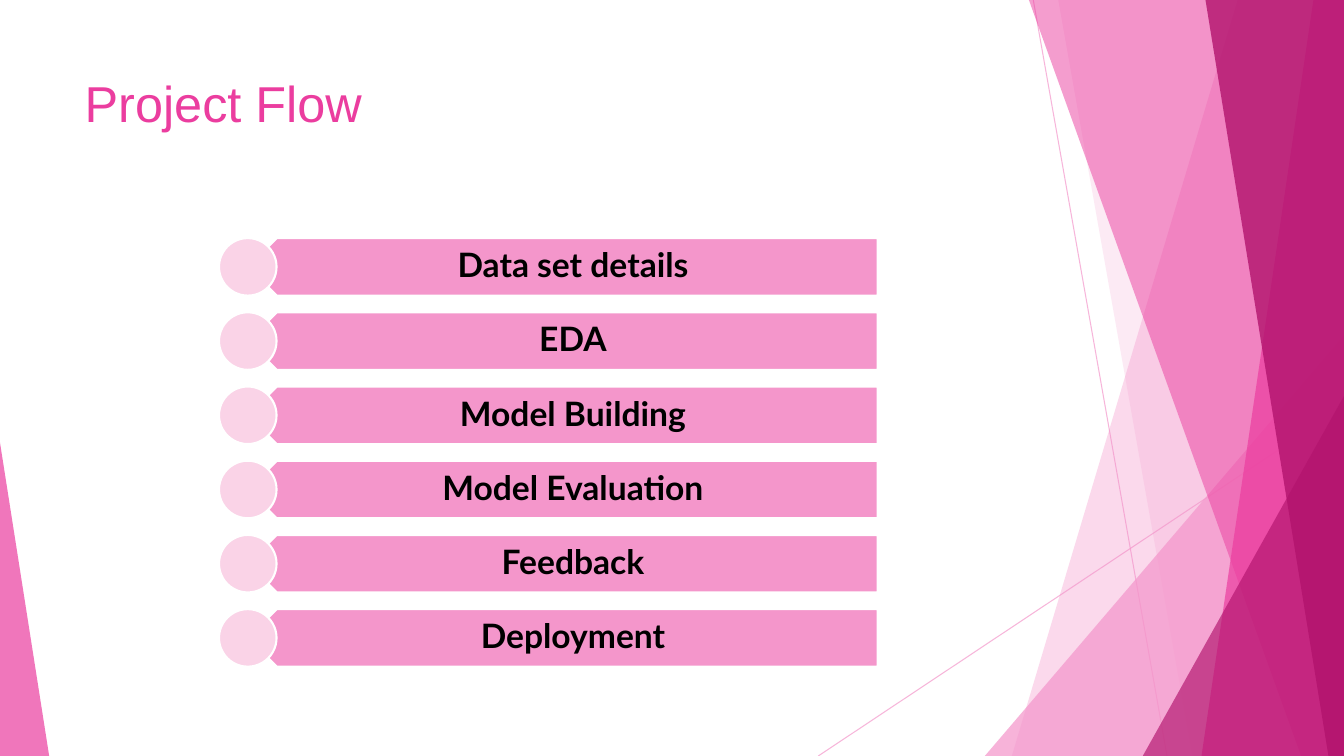
"""Build the Project Flow slide with its faceted pink backdrop."""
from lxml import etree
from pptx import Presentation
from pptx import util as u
from pptx.dml.color import RGBColor
from pptx.enum import shapes, text
from pptx.oxml.ns import qn

PINK = RGBColor(0xF4, 0x96, 0xCB)
ROSE = RGBColor(0xEB, 0x3D, 0x9F)
MAGENTA = RGBColor(0xB2, 0x13, 0x6D)
BLUSH = RGBColor(0xFA, 0xD3, 0xE7)
WHITE = RGBColor(0xFF, 0xFF, 0xFF)
BLACK = RGBColor(0, 0, 0)
WIDTH, HEIGHT = 33.87, 19.05


class Deck:
    def __init__(self):
        self.prs = Presentation()
        self.prs.slide_width, self.prs.slide_height = u.Cm(WIDTH), u.Cm(HEIGHT)
        self.s = self.prs.slides.add_slide(self.prs.slide_layouts[5])

    def place(self, sp, x, y, w, h):
        sp.left, sp.top, sp.width, sp.height = map(u.Cm, (x, y, w, h))

    def fade(self, sp, opacity):
        for color in sp._element.spPr.iter(qn("a:srgbClr")):
            etree.SubElement(color, qn("a:alpha")).set("val", str(opacity * 1000))

    def paint(self, sp, color, opacity=100, outline=None):
        sp.shadow.inherit = False
        sp.fill.solid()
        sp.fill.fore_color.rgb = color
        if opacity < 100:
            self.fade(sp, opacity)
        if outline is None:
            sp.line.fill.background()
        else:
            sp.line.color.rgb = outline
            sp.line.width = u.Pt(1.5)

    def line(self, x1, y1, x2, y2):
        c = self.s.shapes.add_connector(
            shapes.MSO_CONNECTOR.STRAIGHT, *map(u.Cm, (x1, y1, x2, y2)))
        c.line.color.rgb = PINK
        c.line.width = u.Pt(0.75)
        self.fade(c, 70)
        etree.SubElement(c._element.spPr, qn("a:effectLst"))

    def facet(self, top, bottom, color, opacity):
        points = [(WIDTH, 0), (WIDTH, HEIGHT), (bottom, HEIGHT)]
        fb = self.s.shapes.build_freeform(u.Cm(top), 0, scale=1.0)
        fb.add_line_segments([(u.Cm(x), u.Cm(y)) for x, y in points])
        self.paint(fb.convert_to_shape(), color, opacity)

    def shape(self, kind, x, y, w, h, color, opacity=100, outline=None):
        sp = self.s.shapes.add_shape(kind, *map(u.Cm, (x, y, w, h)))
        self.paint(sp, color, opacity, outline)
        return sp

    def triangle(self, x, y, w, apex, color, opacity):
        sp = self.shape(shapes.MSO_SHAPE.ISOSCELES_TRIANGLE,
                        x, y, w, HEIGHT - y, color, opacity)
        sp.adjustments[0] = apex

    def title(self, words, x, y, w, h):
        sp = self.s.shapes.title
        self.place(sp, x, y, w, h)
        tf = sp.text_frame
        tf.text = words
        tf.vertical_anchor = text.MSO_ANCHOR.TOP
        p = tf.paragraphs[0]
        p.alignment = text.PP_ALIGN.LEFT
        p.font.name, p.font.size, p.font.color.rgb = "Arial", u.Pt(36), ROSE

    def label(self, words, x, y, w, h):
        tf = self.s.shapes.add_textbox(*map(u.Cm, (x, y, w, h))).text_frame
        tf.word_wrap = True
        tf.vertical_anchor = text.MSO_ANCHOR.MIDDLE
        tf.margin_left, tf.margin_right = u.Cm(0.64), u.Cm(0.48)
        tf.margin_top = tf.margin_bottom = u.Cm(0.25)
        p = tf.paragraphs[0]
        p.text = words
        p.alignment = text.PP_ALIGN.CENTER
        p.line_spacing = 0.9
        p.space_after = u.Pt(8.4)
        p.font.name, p.font.size, p.font.bold = "Lato", u.Pt(24), True
        p.font.color.rgb = BLACK

    def step(self, words, y, size=1.45):
        bar = self.shape(shapes.MSO_SHAPE.PENTAGON, 6.25, y, 15.87, size,
                         PINK, outline=WHITE)
        bar.rotation = 180
        self.label(words, 6.6, y, 15.52, size)
        self.shape(shapes.MSO_SHAPE.OVAL, 5.52, y, size, size, BLUSH, outline=WHITE)


deck = Deck()
deck.line(26.04, 0, 29.41, HEIGHT)
deck.line(WIDTH, 10.24, 20.62, HEIGHT)
deck.facet(31.19, 25.5, PINK, 36)
deck.facet(26.67, 30.05, PINK, 20)
deck.triangle(24.82, 8.46, 9.05, 1, PINK, 72)
deck.facet(25.93, 32.79, ROSE, 50)
deck.facet(33.1, 30.28, ROSE, 70)
deck.facet(30.38, 33.48, MAGENTA, 80)
deck.triangle(28.8, 9.98, 5.07, 1, MAGENTA, 66)
deck.triangle(0, 11.15, 1.24, 0, ROSE, 70)
deck.title("Project Flow", 1.88, 1.7, 23.88, 3.66)
STEPS = ["Data set details", "EDA", "Model Building", "Model Evaluation",
         "Feedback", "Deployment"]
for i, words in enumerate(STEPS):
    deck.step(words, 6 + 1.87 * i)
deck.prs.save("out.pptx")
